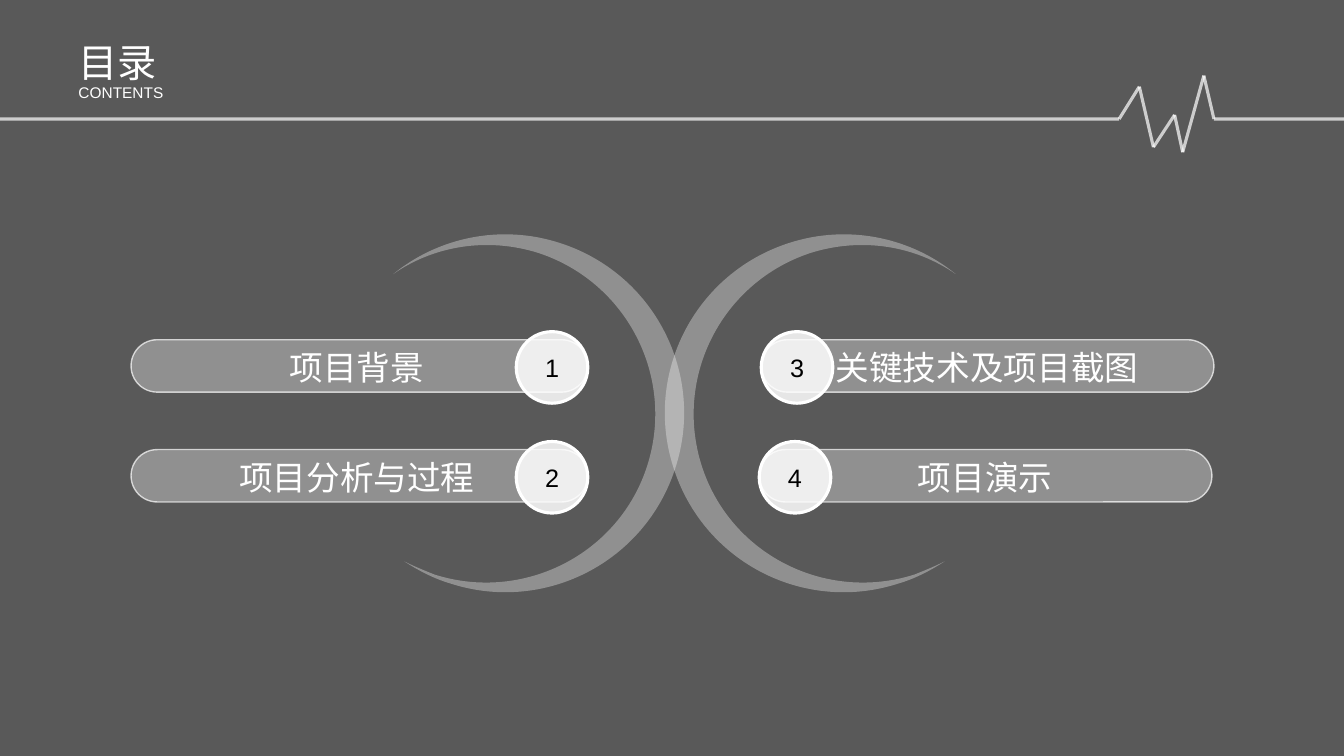
from math import cos, radians, sin

from lxml import etree
from pptx import Presentation
from pptx.dml.color import RGBColor
from pptx.enum.shapes import MSO_CONNECTOR as Link, MSO_SHAPE as Preset
from pptx.enum.text import MSO_ANCHOR as Anchor, MSO_AUTO_SIZE as Fit, PP_ALIGN as Align
from pptx.oxml.ns import qn
from pptx.util import Inches, Pt

# Content
TITLE, SUBTITLE = "目录", "CONTENTS"
# number, label, bar left, bar top, bar width, circle left
ITEMS = [
    ("1", "项目背景", 1.3, 3.37, 4.53, 5.12),
    ("2", "项目分析与过程", 1.3, 4.46, 4.53, 5.12),
    ("3", "关键技术及项目截图", 7.55, 3.37, 4.49, 7.55),
    ("4", "项目演示", 7.53, 4.46, 4.49, 7.53),
]
PULSE = [(0, 1.18), (11.1, 1.18), (11.3, 0.86), (11.44, 1.46), (11.65, 1.14),
         (11.73, 1.51), (11.94, 0.75), (12.04, 1.18), (13.33, 1.18)]
# Left crescent: start point, then the three points of each Bézier curve
CRESCENT_POINTS = [
    (5.55, 2.41),
    (6.49, 2.71), (7, 3.71), (6.7, 4.64),
    (6.4, 5.58), (5.4, 6.09), (4.47, 5.79),
    (4.3, 5.74), (4.15, 5.66), (4.01, 5.57),
    (4.11, 5.62), (4.21, 5.66), (4.31, 5.7),
    (5.19, 5.98), (6.14, 5.5), (6.42, 4.62),
    (6.7, 3.74), (6.22, 2.8), (5.34, 2.51),
    (4.83, 2.35), (4.3, 2.44), (3.9, 2.72),
    (4.34, 2.36), (4.96, 2.22), (5.55, 2.41),
]
CRESCENT_BOX = {"left": 3.52, "top": 2.37, "width": 3.26, "height": 3.55}
CRESCENT_TURN = 17.8
MIRROR_SUM = 13.38

WHITE = RGBColor(0xFF, 0xFF, 0xFF)
BLACK = RGBColor(0, 0, 0)
MIST = RGBColor(0xFC, 0xFC, 0xFC)


def set_alpha(shape, target, percent):
    color = shape._element.spPr.find(f"{target}/{qn('a:srgbClr')}")
    etree.SubElement(color, qn("a:alpha")).set("val", str(percent * 1000))


def style_shape(shape, fill, fill_alpha, width=None, line_alpha=100):
    shape.shadow.inherit = False
    shape.fill.solid()
    shape.fill.fore_color.rgb = fill
    set_alpha(shape, qn("a:solidFill"), fill_alpha)
    if width is None:
        shape.line.fill.background()
    else:
        style_line(shape, width, line_alpha)


def style_line(shape, width, alpha):
    shape.line.width = Pt(width)
    shape.line.color.rgb = WHITE
    set_alpha(shape, f"{qn('a:ln')}/{qn('a:solidFill')}", alpha)


def write_text(shape, text, size, color=WHITE, align=Align.LEFT, spacing=1.0, **frame_format):
    frame = shape.text_frame
    settings = {"word_wrap": True, "auto_size": Fit.NONE, "vertical_anchor": Anchor.TOP}
    for name, value in (settings | frame_format).items():
        setattr(frame, name, value)
    para = frame.paragraphs[0]
    para.alignment, para.line_spacing = align, spacing
    span = para.add_run()
    span.text = text
    for name, value in {"size": Pt(size), "name": "Arial"}.items():
        setattr(span.font, name, value)
    span.font.color.rgb = color


def turn_back(points, box, degrees):
    """Undo the shape's rotation and measure from the corner of its box, in EMU."""
    angle, half_width, half_height = radians(-degrees), box["width"] / 2, box["height"] / 2
    turned = []
    for x, y in points:
        dx, dy = x - box["left"] - half_width, y - box["top"] - half_height
        turned.append((Inches(half_width + dx * cos(angle) - dy * sin(angle)),
                       Inches(half_height + dx * sin(angle) + dy * cos(angle))))
    return turned


def curve_outline(shape, points, box):
    """Turn the straight outline of a freeform into Bézier curves."""
    outline = shape._element.spPr.find(f".//{qn('a:path')}")
    for child in list(outline):
        outline.remove(child)
    outline.set("w", str(Inches(box["width"])))
    outline.set("h", str(Inches(box["height"])))
    steps = [("a:moveTo", points[:1])]
    steps += [("a:cubicBezTo", points[i:i + 3]) for i in range(1, len(points), 3)]
    for tag, step_points in steps:
        step = etree.SubElement(outline, qn(tag))
        for x, y in step_points:
            point = etree.SubElement(step, qn("a:pt"))
            point.set("x", str(x))
            point.set("y", str(y))
    etree.SubElement(outline, qn("a:close"))


def add_crescent(page, mirrored):
    points, box, turn = CRESCENT_POINTS, dict(CRESCENT_BOX), CRESCENT_TURN
    if mirrored:
        points = [(MIRROR_SUM - x, y) for x, y in points]
        box["left"] = MIRROR_SUM - box["left"] - box["width"]
        turn = -turn
    points = turn_back(points, box, turn)
    builder = page.shapes.build_freeform(*points[0])
    builder.add_line_segments(points[1:], close=True)
    crescent = builder.convert_to_shape()
    curve_outline(crescent, points, box)
    for name, value in box.items():
        setattr(crescent, name, Inches(value))
    crescent.rotation = turn % 360
    style_shape(crescent, MIST, 34)


def add_item(page, number, label, left, top, width, circle_left):
    shapes = page.shapes.add_group_shape().shapes
    bar = shapes.add_shape(Preset.ROUNDED_RECTANGLE, Inches(left), Inches(top),
                           Inches(width), Inches(0.52))
    bar.adjustments[0] = 0.5
    style_shape(bar, MIST, 34, 1, 70)
    circle = shapes.add_shape(Preset.OVAL, Inches(circle_left), Inches(top - 0.08),
                              Inches(0.71), Inches(0.71))
    style_shape(circle, WHITE, 85, 2.25)
    write_text(circle, number, 18, BLACK, Align.CENTER, vertical_anchor=Anchor.MIDDLE)
    caption = shapes.add_textbox(Inches(left - 0.04), Inches(top + 0.02),
                                 Inches(4.56), Inches(0.5))
    write_text(caption, label, 24, align=Align.CENTER, auto_size=Fit.SHAPE_TO_FIT_TEXT)


def main():
    deck = Presentation()
    deck.slide_width, deck.slide_height = Inches(13.33), Inches(7.5)
    page = deck.slides.add_slide(deck.slide_layouts[5])

    # Backdrop: a dark veil over white, behind the title
    page.background.fill.solid()
    page.background.fill.fore_color.rgb = WHITE
    veil = page.shapes.add_shape(Preset.RECTANGLE, 0, 0, deck.slide_width, deck.slide_height)
    style_shape(veil, BLACK, 65)
    page.shapes.title._element.addprevious(veil._element)

    # Pulse line
    pulse = page.shapes.add_group_shape().shapes
    for start, end in zip(PULSE, PULSE[1:]):
        stroke = pulse.add_connector(Link.STRAIGHT, *map(Inches, start + end))
        style_line(stroke, 2.25, 70)
        etree.SubElement(stroke._element.spPr, qn("a:effectLst"))

    # Heading
    title = page.shapes.title
    for name, value in {"left": 0.68, "top": 0.33, "width": 3.88, "height": 0.57}.items():
        setattr(title, name, Inches(value))
    write_text(title, TITLE, 28)
    subtitle = page.shapes.add_textbox(Inches(0.68), Inches(0.75), Inches(4.35), Inches(0.3))
    write_text(subtitle, SUBTITLE, 11, spacing=1.14, auto_size=Fit.SHAPE_TO_FIT_TEXT)

    # Crescents and agenda items
    for mirrored in (False, True):
        add_crescent(page, mirrored)
    for item in ITEMS:
        add_item(page, *item)

    deck.save("out.pptx")


if __name__ == "__main__":
    main()
